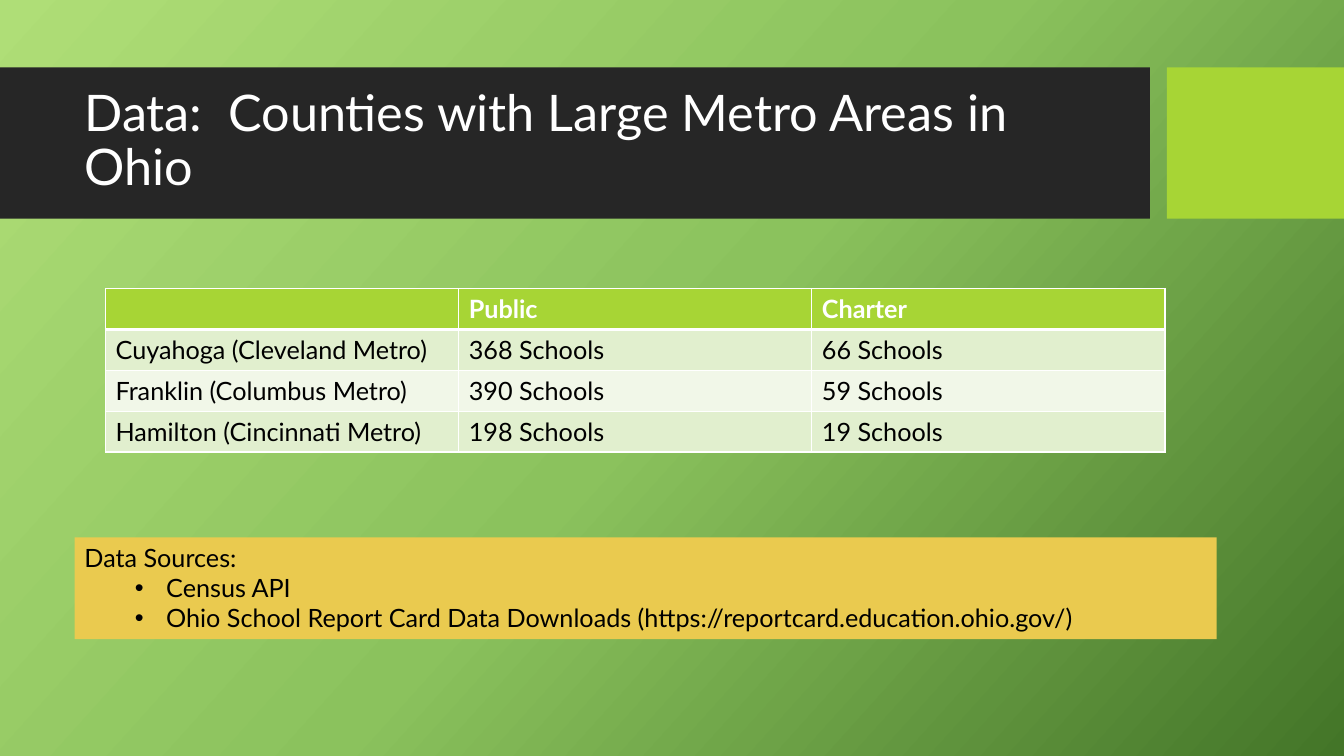
from copy import deepcopy
from dataclasses import dataclass

from lxml.etree import SubElement
from pptx import Presentation
from pptx.dml.color import RGBColor as Rgb
from pptx.enum.shapes import MSO_SHAPE as Shape
from pptx.enum.text import MSO_ANCHOR as Anchor, MSO_AUTO_SIZE as AutoSize
from pptx.oxml.ns import qn
from pptx.slide import Slide
from pptx.table import _Cell as Cell
from pptx.text.text import TextFrame, _Paragraph as Paragraph
from pptx.util import Cm, Pt


@dataclass(frozen=True)
class Theme:
    font: str = "Lato"
    title_size: float = 36
    body_size: float = 18
    white: str = "FFFFFF"
    black: str = "000000"
    band: str = "262626"
    accent: str = "A7D535"
    sources: str = "EACA4F"
    row_tints: tuple[str, ...] = ("E1EFCE", "F1F7E8")
    backdrop: tuple[str, ...] = ("AFDE77", "8BC25D", "437528")
    backdrop_angle: float = 42
    thin_line: float = 1
    thick_line: float = 3


@dataclass(frozen=True)
class Box:
    left: float
    top: float
    width: float
    height: float

    def lengths(self) -> tuple[Cm, Cm, Cm, Cm]:
        return Cm(self.left), Cm(self.top), Cm(self.width), Cm(self.height)


@dataclass(frozen=True)
class Panel:
    box: Box
    color: str


THEME = Theme()
PANELS = (
    Panel(Box(0, 1.7, 28.98, 3.81), THEME.band),
    Panel(Box(29.41, 1.7, 4.46, 3.81), THEME.accent),
)
TITLE = "Data:  Counties with Large Metro Areas in Ohio"
TITLE_BOX = Box(1.88, 2.08, 26.7, 3)
TABLE_BOX = Box(2.66, 7.27, 26.7, 4.12)
SCHOOLS = (
    ("", "Public", "Charter"),
    ("Cuyahoga (Cleveland Metro)", "368 Schools", "66 Schools"),
    ("Franklin (Columbus Metro)", "390 Schools", "59 Schools"),
    ("Hamilton (Cincinnati Metro)", "198 Schools", "19 Schools"),
)
SOURCES_BOX = Box(1.88, 13.54, 28.78, 2.57)
SOURCES_HEADING = "Data Sources:"
SOURCES = (
    "Census API",
    "Ohio School Report Card Data Downloads (https://reportcard.education.ohio.gov/)",
)


def write(para: Paragraph, text: str, size: float, color: str, bold: bool = False) -> None:
    """Put styled text in a paragraph."""
    para.text = text
    para.font.name = THEME.font
    para.font.size = Pt(size)
    para.font.bold = bold
    para.font.color.rgb = Rgb.from_string(color)


def paint_backdrop(page: Slide) -> None:
    """Fill the page with an evenly stepped diagonal gradient."""
    fill = page.background.fill
    fill.gradient()
    fill.gradient_angle = 360 - THEME.backdrop_angle
    stop_list = page.element.find(f".//{qn('a:gsLst')}")
    stop_list.append(deepcopy(stop_list[0]))
    for index, (stop, color) in enumerate(zip(fill.gradient_stops, THEME.backdrop)):
        stop.position = index / (len(THEME.backdrop) - 1)
        stop.color.rgb = Rgb.from_string(color)


def add_panel(page: Slide, panel: Panel) -> None:
    """Draw a plain coloured rectangle."""
    shape = page.shapes.add_shape(Shape.RECTANGLE, *panel.box.lengths())
    shape.shadow.inherit = False
    shape.fill.solid()
    shape.fill.fore_color.rgb = Rgb.from_string(panel.color)
    shape.line.fill.background()


def add_title(page: Slide) -> None:
    """Write the title over the dark band."""
    frame = page.shapes.add_textbox(*TITLE_BOX.lengths()).text_frame
    frame.word_wrap = True
    frame.vertical_anchor = Anchor.MIDDLE
    para = frame.paragraphs[0]
    para.line_spacing = 0.9
    write(para, TITLE, THEME.title_size, THEME.white)


def add_border(cell: Cell, side: str, width: float) -> None:
    """Draw one white edge of a cell."""
    line = SubElement(cell._tc.get_or_add_tcPr(), qn(f"a:ln{side}"), w=str(Pt(width)))
    fill = SubElement(line, qn("a:solidFill"))
    SubElement(fill, qn("a:srgbClr"), val=THEME.white)


def style_cell(cell: Cell, row: int, text: str) -> None:
    """Give a cell its text, edges and fill."""
    header = row == 0
    write(cell.text_frame.paragraphs[0], text, THEME.body_size,
          THEME.white if header else THEME.black, header)
    thick_side = {0: "B", 1: "T"}.get(row)
    for side in "LRTB":
        add_border(cell, side, THEME.thick_line if side == thick_side else THEME.thin_line)
    tint = THEME.accent if header else THEME.row_tints[(row - 1) % len(THEME.row_tints)]
    cell.fill.solid()
    cell.fill.fore_color.rgb = Rgb.from_string(tint)


def add_school_table(page: Slide) -> None:
    """Tabulate the school counts by county."""
    table = page.shapes.add_table(
        len(SCHOOLS), len(SCHOOLS[0]), *TABLE_BOX.lengths()).table
    for row, texts in enumerate(SCHOOLS):
        for column, text in enumerate(texts):
            style_cell(table.cell(row, column), row, text)


def add_bullet(frame: TextFrame, text: str) -> None:
    """Append an indented bullet paragraph."""
    para = frame.add_paragraph()
    para.level = 1
    write(para, text, THEME.body_size, THEME.black)
    properties = para._p.get_or_add_pPr()
    properties.set("marL", str(Cm(2.06)))
    properties.set("indent", str(Cm(-0.79)))
    bullet_font = SubElement(properties, qn("a:buFont"), typeface="Arial")
    bullet_font.addnext(SubElement(properties, qn("a:buChar"), char="•"))
    properties.append(properties.find(qn("a:defRPr")))


def add_sources(page: Slide) -> None:
    """List the data sources in a filled text box."""
    box = page.shapes.add_textbox(*SOURCES_BOX.lengths())
    box.fill.solid()
    box.fill.fore_color.rgb = Rgb.from_string(THEME.sources)
    frame = box.text_frame
    frame.word_wrap = True
    frame.auto_size = AutoSize.SHAPE_TO_FIT_TEXT
    write(frame.paragraphs[0], SOURCES_HEADING, THEME.body_size, THEME.black)
    for source in SOURCES:
        add_bullet(frame, source)


def main() -> None:
    """Build and save the deck."""
    deck = Presentation()
    deck.slide_width, deck.slide_height = Cm(33.87), Cm(19.05)
    page = deck.slides.add_slide(deck.slide_layouts[6])
    paint_backdrop(page)
    for panel in PANELS:
        add_panel(page, panel)
    add_title(page)
    add_school_table(page)
    add_sources(page)
    deck.save("out.pptx")


if __name__ == "__main__":
    main()
